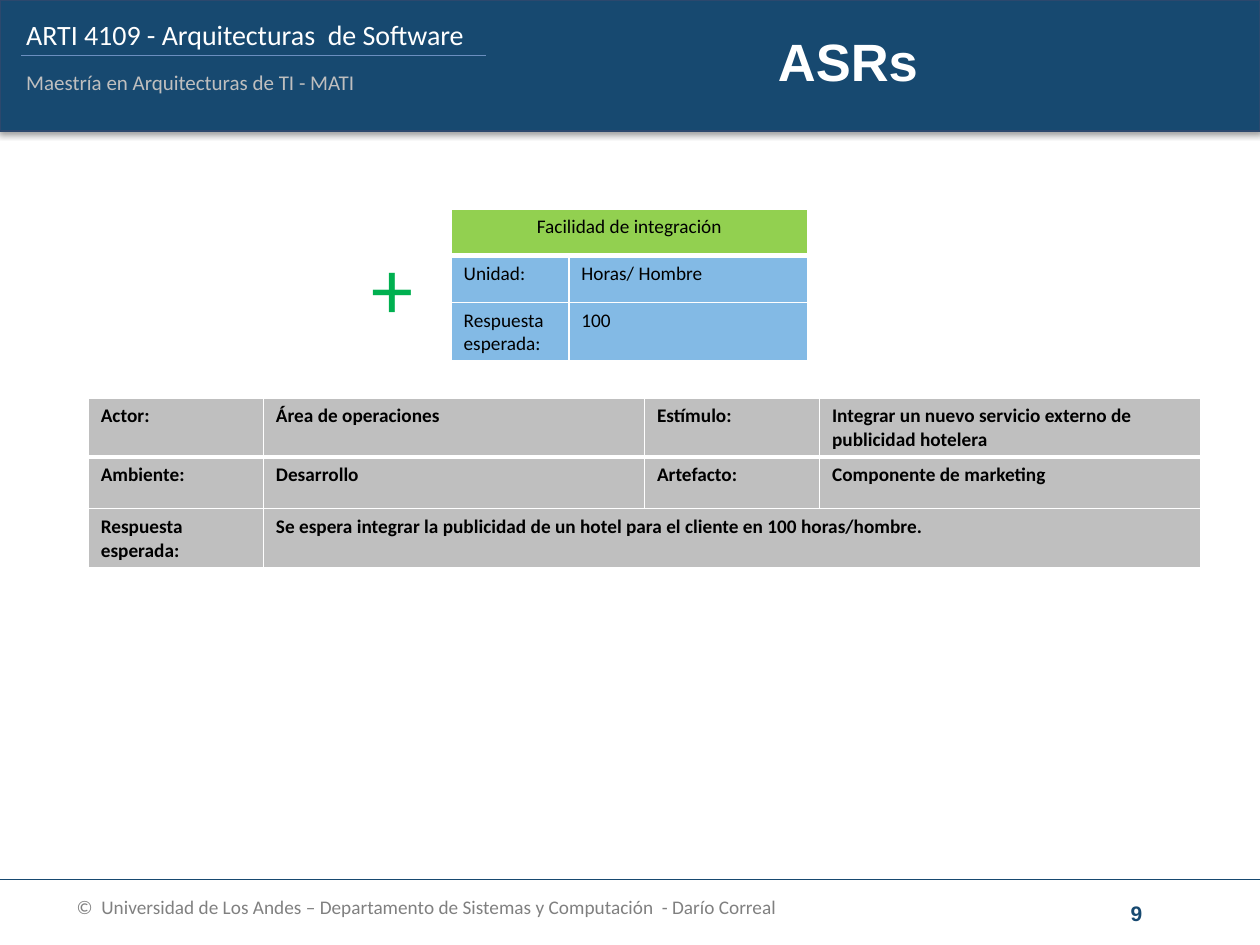
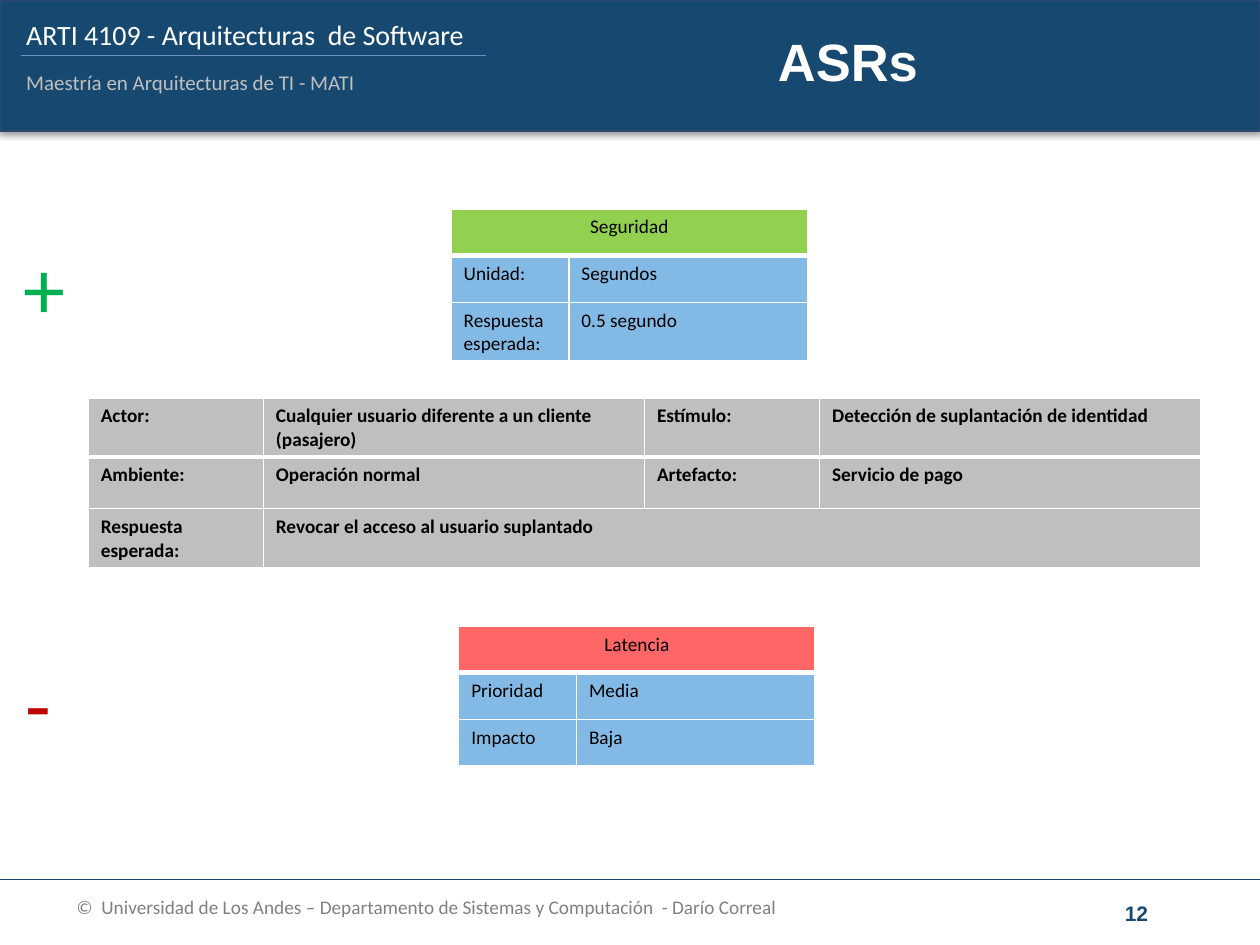
import pptx
import pptx.dml.color
import pptx.enum.shapes
import pptx.enum.text
import pptx.oxml
import pptx.oxml.ns
import pptx.util

deck = pptx.Presentation()
deck.slide_width = pptx.util.Inches(10)
deck.slide_height = pptx.util.Inches(7.5)

# All lengths are percent shares of the slide: columns across, rows down
COLUMN = deck.slide_width / 100
ROW = deck.slide_height / 100

colour = pptx.dml.color.RGBColor.from_string
ALIGN = pptx.enum.text.PP_ALIGN
ANCHOR = pptx.enum.text.MSO_ANCHOR
NAVY, WHITE, GREY, BLUE = "174970", "FFFFFF", "BFBFBF", "83BAE5"
GREEN, RED = "92D050", "FF6666"
PLUS, MINUS = "00B050", "C00000"
NAMESPACE = pptx.oxml.ns.nsdecls("a")
BAND_HEIGHT = 13.87
SCENARIO_COLUMNS, SCENARIO_ROW = [13.9, 30.25, 13.9, 30.25], 5.47
QUALITY_COLUMNS, QUALITY_ROW = [9.35, 18.95], 4.93


def add_label(page, text, left, top, width, height, size, ink,
              font="Calibri", bold=False, centred=False, wrap=True):
    box = page.shapes.add_textbox(int(left * COLUMN), int(top * ROW),
                                  int(width * COLUMN), int(height * ROW))
    frame = box.text_frame
    frame.text = text
    frame.word_wrap = wrap
    frame.vertical_anchor = ANCHOR.MIDDLE if centred else ANCHOR.TOP
    para = frame.paragraphs[0]
    para.alignment = ALIGN.CENTER if centred else ALIGN.LEFT
    span = para.runs[0]
    span.font.name, span.font.size = font, pptx.util.Pt(size)
    span.font.bold, span.font.color.rgb = bold, colour(ink)


def add_grid(page, rows, left, top, widths, height, fills, bold=False):
    """Rows shorter than the grid have their last cell merged to the right edge."""
    frame = page.shapes.add_table(len(rows), len(widths), int(left * COLUMN), int(top * ROW),
                                  int(sum(widths) * COLUMN), int(len(rows) * height * ROW))
    table = frame.table
    table.horz_banding = False
    for column, width in zip(table.columns, widths):
        column.width = int(width * COLUMN)
    for number, texts in enumerate(rows):
        table.rows[number].height = int(height * ROW)
        if len(texts) < len(widths):
            table.cell(number, len(texts) - 1).merge(table.cell(number, len(widths) - 1))
        for place in range(len(widths)):
            cell = table.cell(number, place)
            # White rules, thick between the first row and the rest
            for side in "LRTB":
                thick = (number, side) in ((0, "B"), (1, "T"))
                cell._tc.get_or_add_tcPr().append(pptx.oxml.parse_xml(
                    f'<a:ln{side} {NAMESPACE} w="{pptx.util.Pt(3 if thick else 1)}">'
                    f'<a:solidFill><a:srgbClr val="{WHITE}"/></a:solidFill></a:ln{side}>'))
            cell.fill.solid()
            cell.fill.fore_color.rgb = colour(fills[number])
            if place >= len(texts):
                continue
            cell.text = texts[place]
            para = cell.text_frame.paragraphs[0]
            para.alignment = ALIGN.CENTER if len(texts) == 1 else ALIGN.LEFT
            span = para.runs[0]
            span.font.name, span.font.size = "Calibri", pptx.util.Pt(11)
            span.font.bold, span.font.color.rgb = bold, colour("000000")


# What each slide says: favoured quality, scenario, and the quality that suffers
requirements = [
    {
        "number": "9",
        "plus_left": 28.5,
        "favoured": [["Facilidad de integración"], ["Unidad:", "Horas/ Hombre"],
                     ["Respuesta esperada:", "100"]],
        "scenario": [
            ["Actor:", "Área de operaciones", "Estímulo:",
             "Integrar un nuevo servicio externo de publicidad hotelera"],
            ["Ambiente:", "Desarrollo", "Artefacto:", "Componente de marketing"],
            ["Respuesta esperada:",
             "Se espera integrar la publicidad de un hotel para el cliente en 100 horas/hombre."],
        ],
        "harmed": None,
    },
    {
        "number": "12",
        "plus_left": 0.9,
        "favoured": [["Seguridad"], ["Unidad:", "Segundos"],
                     ["Respuesta esperada:", "0.5 segundo"]],
        "scenario": [
            ["Actor:", "Cualquier usuario diferente a un cliente (pasajero)", "Estímulo:",
             "Detección de suplantación de identidad"],
            ["Ambiente:", "Operación normal", "Artefacto:", "Servicio de pago"],
            ["Respuesta esperada:", "Revocar el acceso al usuario suplantado"],
        ],
        "harmed": [["Latencia"], ["Prioridad", "Media"], ["Impacto", "Baja"]],
    },
]

for requirement in requirements:
    page = deck.slides.add_slide(deck.slide_layouts[6])

    # Header band with a soft shadow
    band = page.shapes.add_shape(pptx.enum.shapes.MSO_SHAPE.RECTANGLE, 0, 0,
                                 deck.slide_width, int(BAND_HEIGHT * ROW))
    band.fill.solid()
    band.fill.fore_color.rgb = colour(NAVY)
    band.line.color.rgb = colour("2C486D")
    band.line.width = pptx.util.Pt(0.75)
    band.shadow.inherit = False
    band._element.spPr.find(pptx.oxml.ns.qn("a:effectLst")).append(pptx.oxml.parse_xml(
        f'<a:outerShdw {NAMESPACE} blurRad="{pptx.util.Pt(3.1)}" dist="{pptx.util.Pt(1.8)}" '
        'dir="5400000" rotWithShape="0"><a:srgbClr val="000000"><a:alpha val="35000"/>'
        '</a:srgbClr></a:outerShdw>'))

    # Header rule and footer rule
    for start, end, height, ink, weight in [(1.7, 38.6, 5.87, "6B8FC0", 1),
                                            (0, 100, 93.07, NAVY, 0.75)]:
        rule = page.shapes.add_connector(pptx.enum.shapes.MSO_CONNECTOR.STRAIGHT,
                                         int(start * COLUMN), int(height * ROW),
                                         int(end * COLUMN), int(height * ROW))
        rule.line.color.rgb = colour(ink)
        rule.line.width = pptx.util.Pt(weight)
        rule._element.spPr.append(pptx.oxml.parse_xml(f"<a:effectLst {NAMESPACE}/>"))

    # Course, title and footer
    add_label(page, "ARTI 4109 - Arquitecturas  de Software", 1.1, 1.2, 46.3, 4.93, 16, WHITE)
    add_label(page, "Maestría en Arquitecturas de TI - MATI", 1.1, 6.67, 28.5, 4, 12, GREY,
              wrap=False)
    add_label(page, "ASRs", 49.2, 2.8, 36.2, 7.33, 30, WHITE, "Arial", bold=True, centred=True)
    add_label(page, requirement["number"], 83.1, 94, 14.2, 5.33, 12, NAVY, "Arial",
              bold=True, centred=True)
    add_label(page, "©  Universidad de Los Andes – Departamento de Sistemas y Computación"
              "  - Darío Correal", 5.1, 94.13, 75.6, 5.33, 11, "808080")

    # Scenario and favoured quality
    add_grid(page, requirement["scenario"], 7, 42.13, SCENARIO_COLUMNS, SCENARIO_ROW,
             [GREY] * 3, bold=True)
    add_grid(page, requirement["favoured"], 35.8, 22.13, QUALITY_COLUMNS, QUALITY_ROW,
             [GREEN, BLUE, BLUE])
    add_label(page, "+", requirement["plus_left"], 24.27, 5.4, 12.13, 48, PLUS, wrap=False)

    # Harmed quality
    if requirement["harmed"]:
        add_label(page, "-", 1, 68.27, 4.1, 12.13, 48, MINUS, wrap=False)
        add_grid(page, requirement["harmed"], 36.4, 66.27, QUALITY_COLUMNS, QUALITY_ROW,
                 [RED, BLUE, BLUE])

deck.save("out.pptx")
